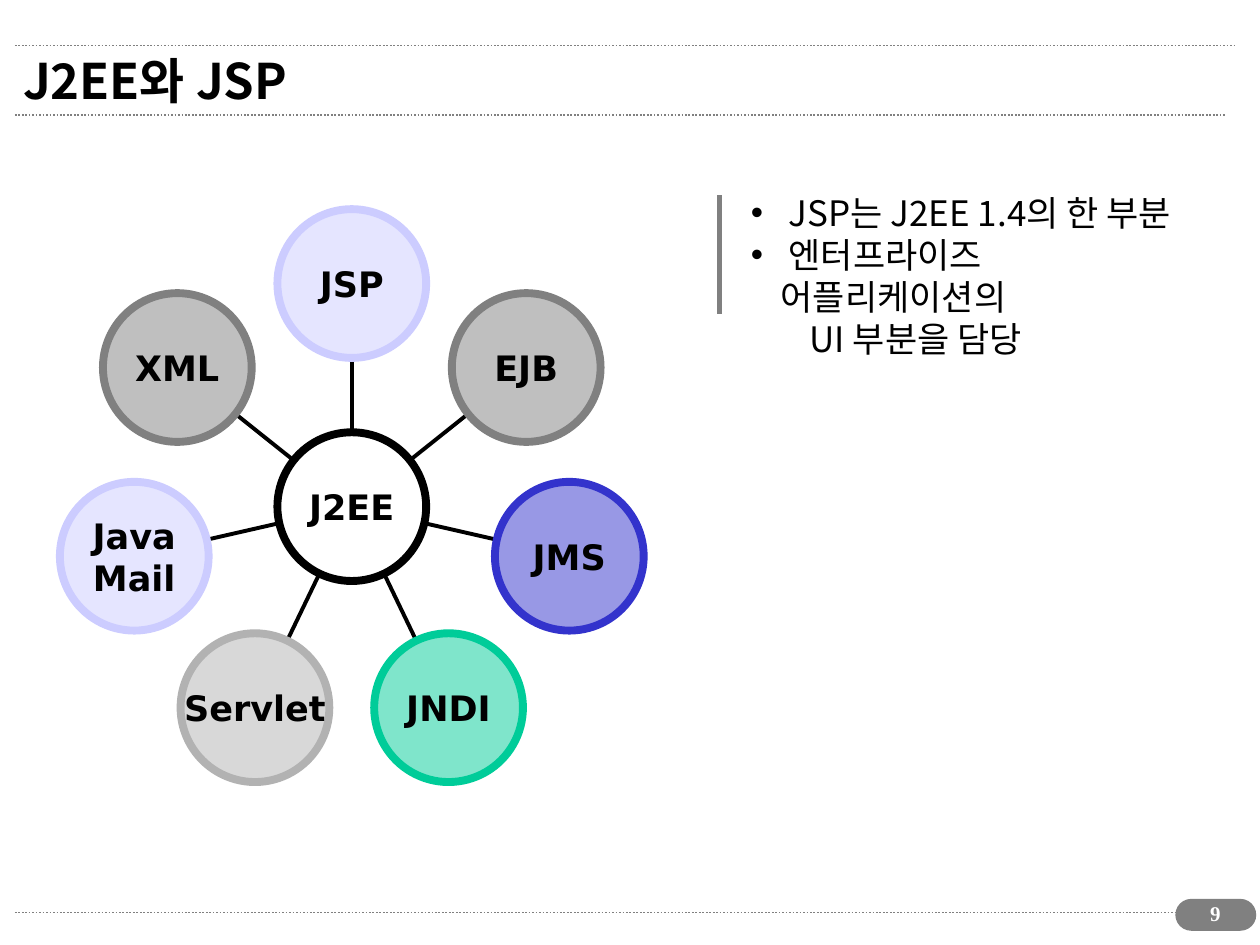
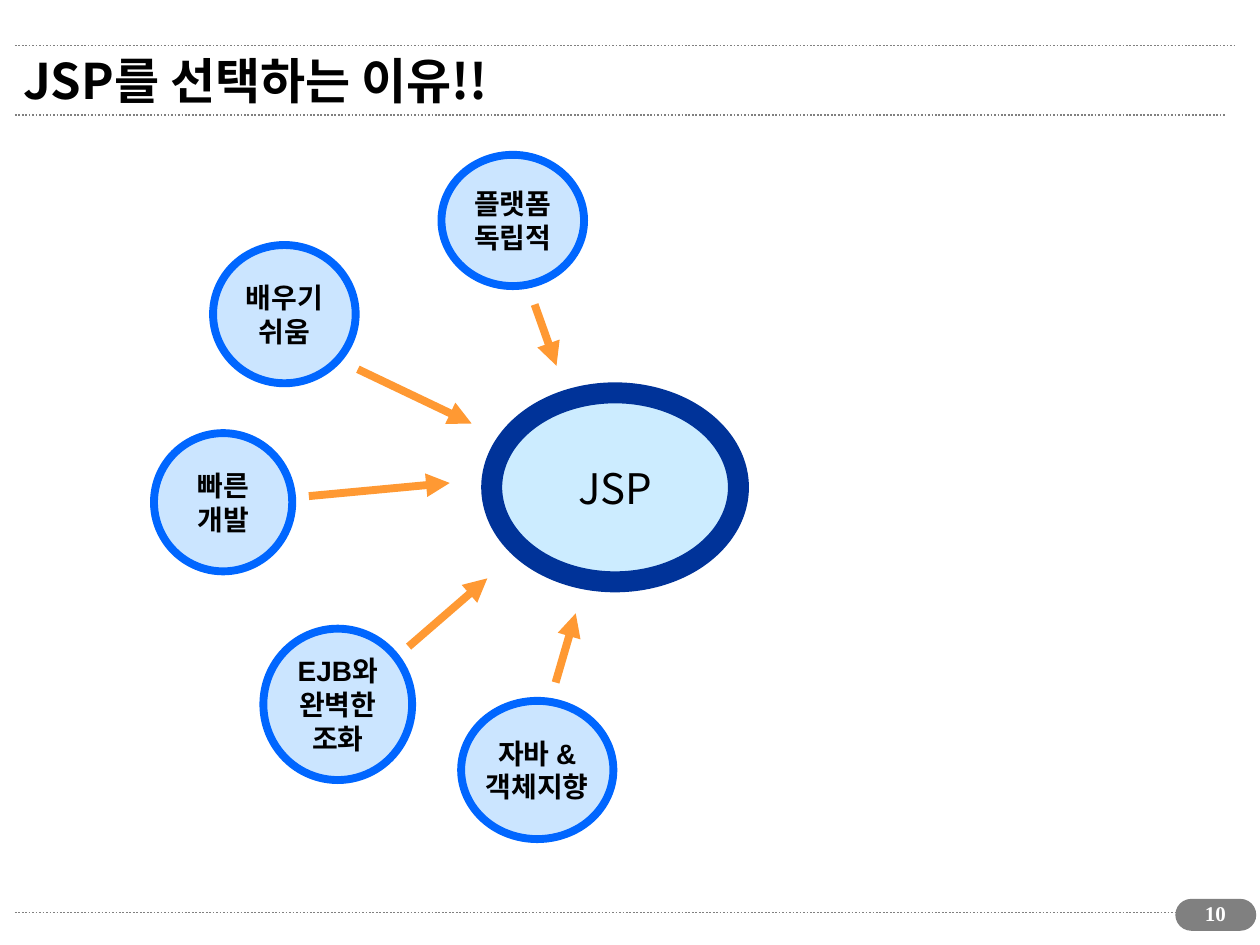
import math
import lxml.etree
import pptx
import pptx.dml.color
import pptx.enum.dml
import pptx.enum.shapes
import pptx.enum.text
import pptx.oxml.ns
import pptx.util

Pt = pptx.util.Pt
qn = pptx.oxml.ns.qn
sub = lxml.etree.SubElement
rgb = pptx.dml.color.RGBColor.from_string
Shape = pptx.enum.shapes.MSO_SHAPE
Align = pptx.enum.text.PP_ALIGN
Anchor = pptx.enum.text.MSO_ANCHOR


class Theme:
    black, white, gray, silver = "000000", "FFFFFF", "808080", "B2B2B2"
    lilac, indigo, green = "CCCCFF", "3333CC", "00CC99"
    sky, blue, ice, navy, orange = "99CCFF", "0066FF", "CCECFF", "003399", "FF9933"
    main, label, plain, serif = "Noto Sans CJK KR", "DejaVu Sans", "Arial", "Times New Roman"
    title, core, body, small, page = 28, 24, 20, 16, 12
    thin, spoke, rule, thick, heavy = 1, 2.25, 3, 4.5, 12


def write(frame, lines, font, size, bold=False, color=Theme.black, align=Align.LEFT):
    for i, text in enumerate(lines):
        para = frame.paragraphs[0] if i == 0 else frame.add_paragraph()
        para.alignment = align
        run = para.add_run()
        run.text = text
        run.font.name, run.font.size, run.font.bold = font, Pt(size), bold
        run.font.color.rgb = rgb(color)
        sub(run.font._element, qn("a:ea"), typeface=Theme.main)


def draw(page, ends, color, width, arrow=False):
    line = page.shapes.add_connector(
        pptx.enum.shapes.MSO_CONNECTOR.STRAIGHT, *[Pt(round(v, 2)) for v in ends])
    line.line.color.rgb = rgb(color)
    line.line.width = Pt(width)
    if arrow:
        sub(line.line._ln, qn("a:tailEnd"), type="triangle")
    sub(line.element.spPr, qn("a:effectLst"))
    return line


deck = pptx.Presentation()
deck.slide_width, deck.slide_height = Pt(720), Pt(540)
layout = deck.slide_layouts[5]

# Titles and page numbers
pages = []
for num, text in ((9, "J2EE와 JSP"), (10, "JSP를 선택하는 이유!!")):
    page = deck.slides.add_slide(layout)
    pages.append(page)
    title = page.shapes.title
    title.left, title.top, title.width, title.height = Pt(6), Pt(20), Pt(655), Pt(51)
    title.text_frame.auto_size = pptx.enum.text.MSO_AUTO_SIZE.NONE
    title.text_frame.vertical_anchor = Anchor.MIDDLE
    write(title.text_frame, [text], Theme.main, Theme.title, True)
    box = page.shapes.add_textbox(Pt(674.5), Pt(511), Pt(40), Pt(24.5))
    box.text_frame.word_wrap = True
    write(box.text_frame, [str(num)], Theme.serif, Theme.page, True, Theme.white, Align.CENTER)
first, second = pages

# Shared rules and page badge, moved to the layout
parts = []
for y, end in ((521.5, 700.5), (65.75, 700), (26, 705.5)):
    line = draw(first, (8.5, y, end, y), Theme.gray, Theme.thin)
    line.line.dash_style = pptx.enum.dml.MSO_LINE.ROUND_DOT
    parts.append(line)
badge = first.shapes.add_shape(Shape.ROUNDED_RECTANGLE, Pt(672), Pt(514), Pt(45.5), Pt(17.5))
badge.adjustments[0] = 0.5
badge.shadow.inherit = False
badge.fill.solid()
badge.fill.fore_color.rgb = rgb(Theme.gray)
badge.line.color.rgb = rgb(Theme.gray)
badge.line.width = Pt(0.75)
for part in parts + [badge]:
    layout.shapes.element.append(part.element)

# Wheel of parts around the hub: spokes and bubbles
# bubble: page, centre, size, fill, opacity, line, width, font, size, bold, lines
hubx, huby, rad, reach = 201, 289.5, 42.5, 127.5
wheel = (
    (["JSP"], Theme.lilac), (["EJB"], Theme.gray), (["JMS"], Theme.indigo),
    (["JNDI"], Theme.green), (["Servlet"], Theme.silver),
    (["Java", "Mail"], Theme.lilac), (["XML"], Theme.gray),
)
look = (Theme.thick, Theme.label, Theme.body, True)
bubbles = [(first, hubx, huby, 2 * rad, 2 * rad, Theme.white, 50, Theme.black, *look, ["J2EE"])]
for i, (lines, color) in enumerate(wheel):
    turn = 2 * math.pi * i / len(wheel)
    dx, dy = math.sin(turn), -math.cos(turn)
    draw(first, (hubx + rad * dx, huby + rad * dy, hubx + 2 * rad * dx, huby + 2 * rad * dy),
         Theme.black, Theme.spoke)
    bubbles.append((first, hubx + reach * dx, huby + reach * dy, 2 * rad, 2 * rad,
                    color, 50, color, *look, lines))

# Reasons around the JSP core
bubbles.append((second, 351.5, 278.5, 141, 108, Theme.ice, 100, Theme.navy,
                Theme.heavy, Theme.main, Theme.core, False, ["JSP"]))
for x, y, wide, high, lines in (
    (293, 126, 81.5, 75, ["플랫폼", "독립적"]),
    (162.5, 179.5, 81.5, 79, ["배우기", "쉬움"]),
    (127.5, 287, 79, 79, ["빠른", "개발"]),
    (193, 402.5, 85, 86.5, ["EJB와", "완벽한", "조화"]),
    (307, 440, 87, 79, ["자바 &", "객체지향"]),
):
    bubbles.append((second, x, y, wide, high, Theme.sky, 50, Theme.blue,
                    Theme.thick, Theme.plain, Theme.small, True, lines))

for page, x, y, wide, high, fill, clear, edge, width, font, size, bold, lines in bubbles:
    oval = page.shapes.add_shape(Shape.OVAL, Pt(round(x - wide / 2, 2)),
                                 Pt(round(y - high / 2, 2)), Pt(wide), Pt(high))
    oval.shadow.inherit = False
    oval.fill.solid()
    oval.fill.fore_color.rgb = rgb(fill)
    if clear < 100:
        tint = oval.element.spPr.find(qn("a:solidFill")).find(qn("a:srgbClr"))
        sub(tint, qn("a:alpha"), val=str(clear * 1000))
    oval.line.color.rgb = rgb(edge)
    oval.line.width = Pt(width)
    oval.text_frame.word_wrap = False
    oval.text_frame.vertical_anchor = Anchor.MIDDLE
    write(oval.text_frame, lines, font, size, bold, align=Align.CENTER)

# Arrows towards the core
for ends in (
    (305.5, 174, 318, 209), (204.5, 211, 269.5, 242), (176.5, 283.5, 257, 276),
    (233.5, 369.5, 278.5, 330.5), (317.5, 390, 329, 350.5),
):
    draw(second, ends, Theme.orange, Theme.thick, True)

# Notes beside the wheel
draw(first, (411, 111.5, 411, 179.5), Theme.gray, Theme.rule)
box = first.shapes.add_textbox(Pt(422), Pt(106), Pt(276), Pt(79))
box.text_frame.word_wrap = True
write(box.text_frame, [" JSP는 J2EE 1.4의 한 부분", " 엔터프라이즈 어플리케이션의", "UI 부분을 담당"],
      Theme.main, Theme.body)
for para, left, hang in zip(box.text_frame.paragraphs, (17, 17, 33.5), (17, 17, 0)):
    props = para._p.get_or_add_pPr()
    props.set("marL", str(Pt(left)))
    props.set("indent", str(-Pt(hang)))
    if hang:
        sub(props, qn("a:buFont"), typeface=Theme.plain)
        sub(props, qn("a:buChar"), char="•")

deck.save("out.pptx")
